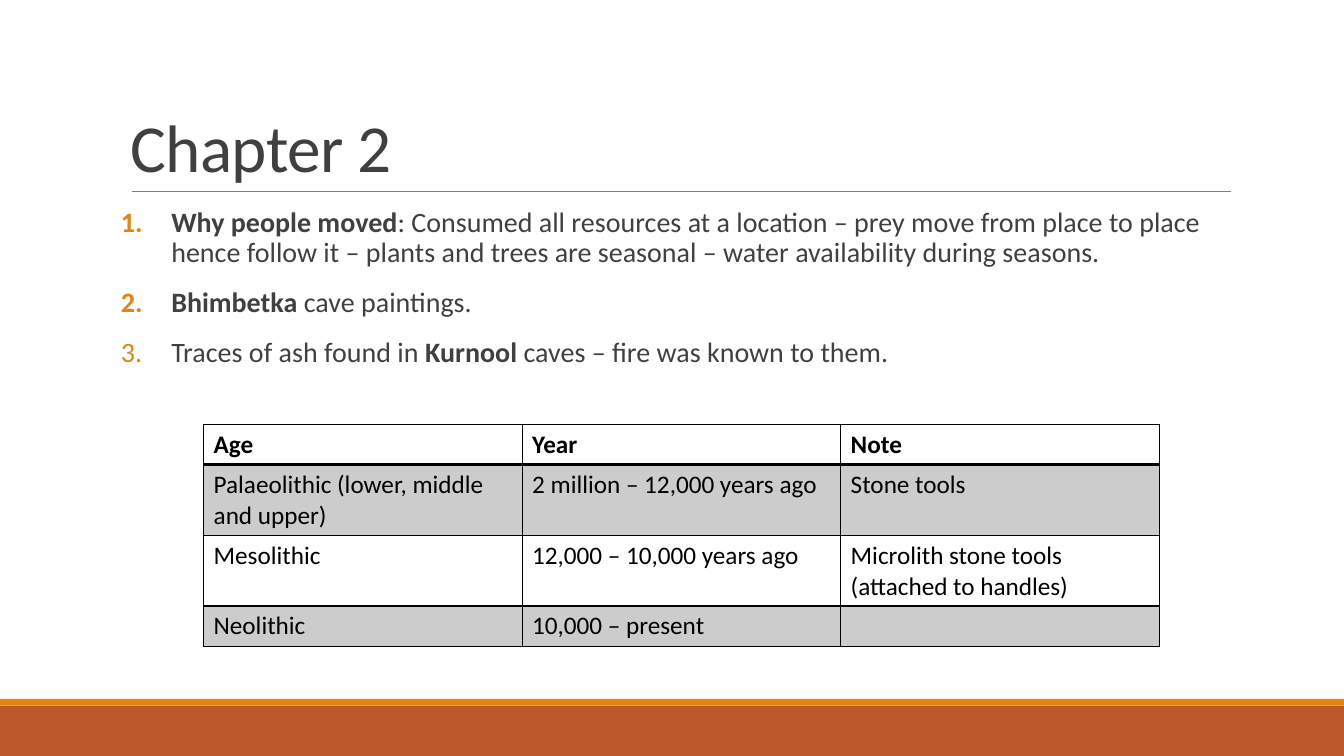
from dataclasses import dataclass

import pptx
import pptx.dml.color
import pptx.enum.shapes
import pptx.enum.text
import pptx.oxml.ns
import pptx.oxml.xmlchemy
import pptx.util
from lxml import etree

COLS, ROWS = 160, 90  # square grid units, twelve to the inch


@dataclass(frozen=True)
class Theme:
    font: str = "Calibri"
    text: str = "404040"
    ink: str = "000000"
    rule: str = "808080"
    accent: str = "E48312"
    footer: str = "BD582C"
    title_pt: float = 48
    body_pt: float = 20
    table_pt: float = 18
    band_opacity: int = 20


@dataclass(frozen=True)
class Box:
    col: float
    row: float
    cols: float
    rows: float

    def emu(self) -> tuple:
        return tuple(unit(v) for v in (self.col, self.row, self.cols, self.rows))


@dataclass(frozen=True)
class Band:
    box: Box
    color: str


@dataclass(frozen=True)
class Span:
    text: str
    bold: bool = False


THEME = Theme()

BANDS = [
    Band(Box(0, 84, COLS, 6), THEME.footer),
    Band(Box(0, 83.2, COLS, 0.8), THEME.accent),
]
TITLE_BOX = Box(14.4, 3.72, 132, 19.08)
RULE = Box(15.72, 22.8, 130.8, 0)
POINTS_BOX = Box(14.4, 24.24, 132, 52.8)
TABLE_BOX = Box(24.24, 50.52, 113.76, 19.2)

POINTS = [
    [Span("Why people moved", True),
     Span(": Consumed all resources at a location – prey move from place to place "
          "hence follow it – plants and trees are seasonal – water availability "
          "during seasons.")],
    [Span("Bhimbetka", True), Span(" cave paintings.")],
    [Span("Traces of ash found in "), Span("Kurnool", True),
     Span(" caves – fire was known to them.")],
]
AGES = [
    ("Age", "Year", "Note"),
    ("Palaeolithic (lower, middle and upper)", "2 million – 12,000 years ago", "Stone tools"),
    ("Mesolithic", "12,000 – 10,000 years ago", "Microlith stone tools (attached to handles)"),
    ("Neolithic", "10,000 – present", ""),
]


def unit(n: float) -> int:
    return pptx.util.Inches(n / 12)


def rgb(color: str) -> pptx.dml.color.RGBColor:
    return pptx.dml.color.RGBColor.from_string(color)


def sub(parent, tag: str, **attrs: str):
    """Append a drawing element such as a:ln to parent."""
    el = etree.SubElement(parent, pptx.oxml.ns.qn(tag))
    for name, value in attrs.items():
        el.set(name, value)
    return el


def set_font(p, size: float, color: str) -> None:
    p.font.name = THEME.font
    p.font.size = pptx.util.Pt(size)
    p.font.color.rgb = rgb(color)


def add_band(slide, band: Band) -> None:
    sp = slide.shapes.add_shape(pptx.enum.shapes.MSO_SHAPE.RECTANGLE, *band.box.emu())
    sp.shadow.inherit = False
    sp.fill.solid()
    sp.fill.fore_color.rgb = rgb(band.color)
    sp.line.fill.background()


def add_rule(slide, box: Box) -> None:
    x, y, w, h = box.emu()
    line = slide.shapes.add_connector(
        pptx.enum.shapes.MSO_CONNECTOR.STRAIGHT, x, y, x + w, y + h)
    line.line.color.rgb = rgb(THEME.rule)
    line.line.width = pptx.util.Pt(0.5)
    sub(line._element.spPr, "a:effectLst")


def add_text_frame(slide, box: Box):
    tf = slide.shapes.add_textbox(*box.emu()).text_frame
    tf.word_wrap = True
    return tf


def add_title(slide, text: str) -> None:
    tf = add_text_frame(slide, TITLE_BOX)
    tf.vertical_anchor = pptx.enum.text.MSO_ANCHOR.BOTTOM
    p = tf.paragraphs[0]
    p.text = text
    p.line_spacing = 0.85
    set_font(p, THEME.title_pt, THEME.text)
    p._p.pPr.find(pptx.oxml.ns.qn("a:defRPr")).set("spc", "-50")


def add_number(p) -> None:
    """Give the paragraph a coloured automatic number and a hanging indent."""
    pPr = p._p.get_or_add_pPr()
    indent = unit(6)
    pPr.set("marL", str(indent))
    pPr.set("indent", str(-indent))
    sub(sub(pPr, "a:buClr"), "a:srgbClr", val=THEME.accent)
    sub(pPr, "a:buFont", typeface=THEME.font)
    sub(pPr, "a:buAutoNum", type="arabicPeriod")


def add_points(slide, points: list[list[Span]]) -> None:
    tf = add_text_frame(slide, POINTS_BOX)
    tf.margin_left = tf.margin_right = 0
    for i, spans in enumerate(points):
        p = tf.add_paragraph() if i else tf.paragraphs[0]
        p.line_spacing = 0.9
        p.space_before = pptx.util.Pt(12)
        p.space_after = pptx.util.Pt(2)
        add_number(p)
        set_font(p, THEME.body_pt, THEME.text)
        for span in spans:
            r = p.add_run()
            r.text = span.text
            r.font.bold = span.bold


def set_borders(cell, top: float, bottom: float) -> None:
    tcPr = cell._tc.get_or_add_tcPr()
    for side, width in (("L", 1), ("R", 1), ("T", top), ("B", bottom)):
        ln = sub(tcPr, f"a:ln{side}", w=str(pptx.util.Pt(width)))
        sub(sub(ln, "a:solidFill"), "a:srgbClr", val=THEME.ink)


def set_fill(cell, shaded: bool) -> None:
    if not shaded:
        cell.fill.background()
        return
    cell.fill.solid()
    cell.fill.fore_color.rgb = rgb(THEME.ink)
    color = cell._tc.tcPr.find(pptx.oxml.ns.qn("a:solidFill"))[0]
    sub(color, "a:alpha", val=str(THEME.band_opacity * 1000))


def add_ages(slide, rows: list[tuple[str, ...]]) -> None:
    table = slide.shapes.add_table(len(rows), len(rows[0]), *TABLE_BOX.emu()).table
    table.first_row = table.horz_banding = False
    for i, texts in enumerate(rows):
        for j, text in enumerate(texts):
            cell = table.cell(i, j)
            set_borders(cell, top=2 if i == 1 else 1, bottom=2 if i == 0 else 1)
            set_fill(cell, shaded=i % 2 == 1)
            p = cell.text_frame.paragraphs[0]
            p.text = text
            set_font(p, THEME.table_pt, THEME.ink)
            p.font.bold = i == 0


def main() -> None:
    prs = pptx.Presentation()
    prs.slide_width, prs.slide_height = unit(COLS), unit(ROWS)
    slide = prs.slides.add_slide(prs.slide_layouts[6])
    for band in BANDS:
        add_band(slide, band)
    add_rule(slide, RULE)
    add_title(slide, "Chapter 2")
    add_points(slide, POINTS)
    add_ages(slide, AGES)
    prs.save("out.pptx")


if __name__ == "__main__":
    main()
